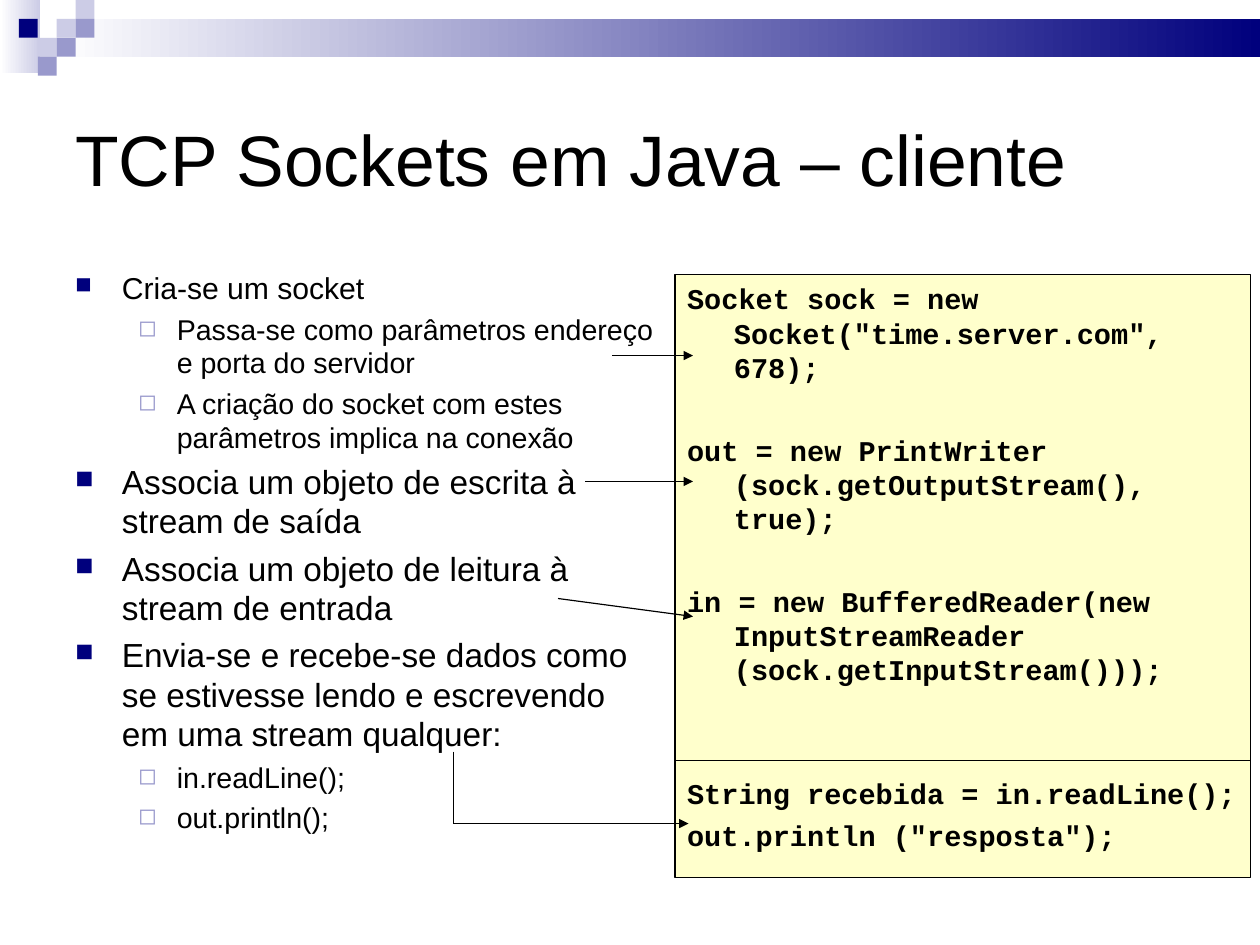
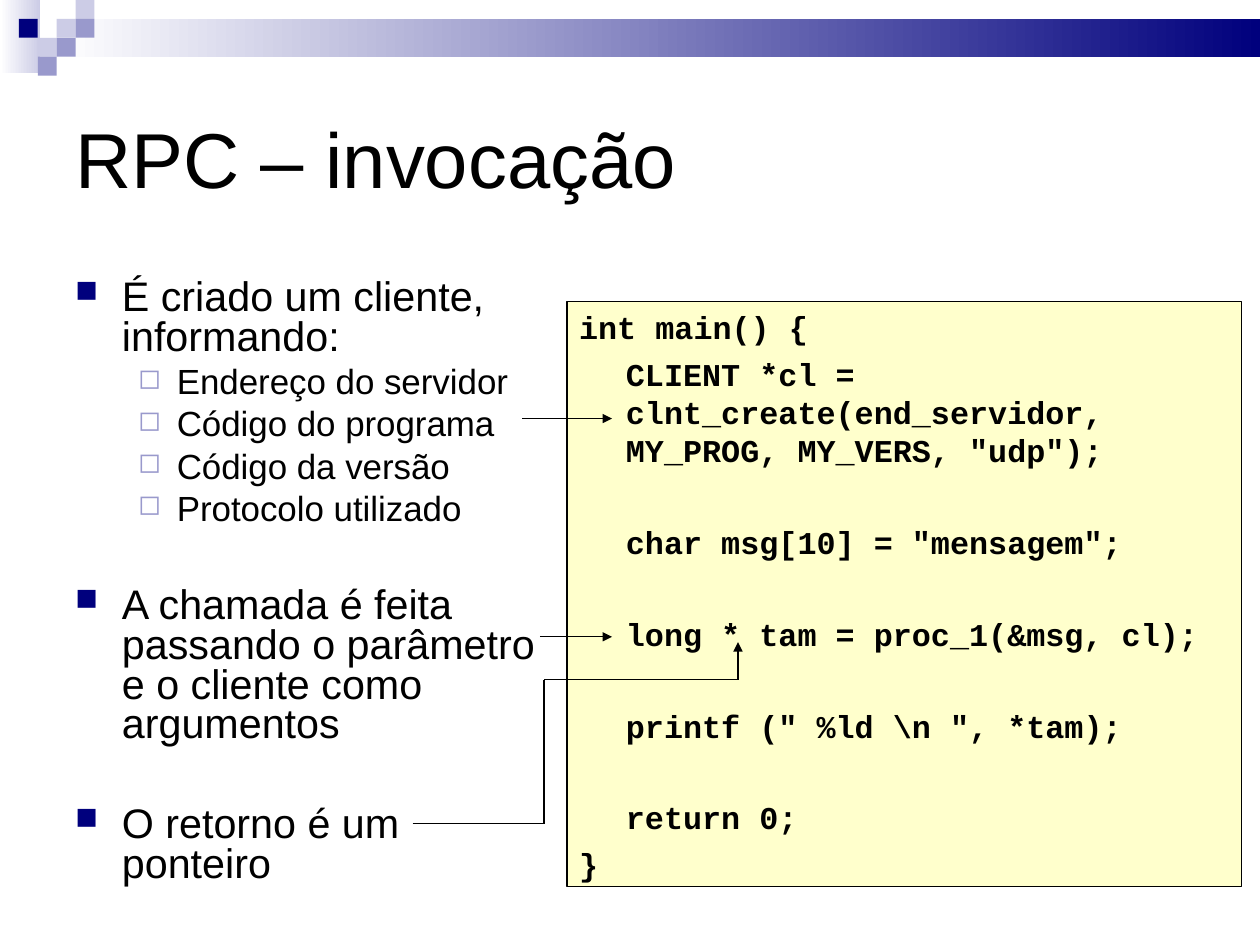
import itertools

import pptx
import pptx.dml.color
import pptx.enum.shapes
import pptx.enum.text
import pptx.oxml.ns
import pptx.util
from lxml import etree

Cm, Pt = pptx.util.Cm, pptx.util.Pt

COLORS = {
    "navy": "00007D",
    "mid": "9999CC",
    "light": "CCCCE6",
    "white": "FFFFFF",
    "cream": "FFFFCC",
    "black": "000000",
}
SANS, MONO = "Arial", "Courier New"
LINE_HEIGHT = 1.195  # line height as a share of the font size
CELL = 0.42
HANG = 1.04
# per level: left margin, hanging indent, bullet, colour, size in percent
BULLETS = [(HANG, HANG, "■", "navy", 75), (2.26, 0.86, "◻", "mid", 80)]


def rgb(name):
    return pptx.dml.color.RGBColor.from_string(COLORS[name])


def add_rect(slide, left, top, width, height, fill, fade=None):
    """Add a borderless rectangle; with fade, fill runs leftwards into fade."""
    sp = slide.shapes.add_shape(
        pptx.enum.shapes.MSO_SHAPE.RECTANGLE, Cm(left), Cm(top), Cm(width), Cm(height))
    sp.shadow.inherit = False
    sp.line.fill.background()
    if fade:
        sp.fill.gradient()
        sp.fill.gradient_angle = 180
        for stop, name, position in zip(sp.fill.gradient_stops, (fill, fade), (0, 1)):
            stop.color.rgb = rgb(name)
            stop.position = position
    else:
        sp.fill.solid()
        sp.fill.fore_color.rgb = rgb(fill)
    return sp


def set_up_layout(layout, slide):
    """Give the layout its title place and its band, drawn by way of slide."""
    title = layout.placeholders[0]
    title.left, title.top, title.width, title.height = Cm(1.4), Cm(1.4), Cm(25.2), Cm(4.2)
    band = [
        add_rect(slide, 0, 0, 0.9, 1.63, "light", "white"),
        add_rect(slide, 3 * CELL, CELL, 28 - 3 * CELL, 2 * CELL, "navy", "white"),
    ]
    cells = {"light": [(3, 1), (4, 0), (2, 2)],
             "mid": [(4, 1), (3, 2), (2, 3)],
             "navy": [(1, 1)]}
    for color, places in cells.items():
        for col, row in places:
            band.append(add_rect(slide, col * CELL, row * CELL, CELL, CELL, color))
    for i, sp in enumerate(band):
        sp.element.nvSpPr.cNvPr.set("id", str(100 + i))
        layout.element.cSld.spTree.insert(2 + i, sp.element)


def set_frame(tf, anchor):
    tf.word_wrap = True
    tf.auto_size = pptx.enum.text.MSO_AUTO_SIZE.NONE
    tf.vertical_anchor = anchor
    tf.margin_left = tf.margin_right = Cm(0.27)
    tf.margin_top = tf.margin_bottom = Cm(0.15)


def add_run(p, text, size, font=SANS, bold=False):
    r = p.add_run()
    r.text = text
    r.font.size, r.font.name, r.font.bold = Pt(size), font, bold
    r.font.color.rgb = rgb("black")


def set_title(slide, text, size):
    tf = slide.shapes.title.text_frame
    set_frame(tf, pptx.enum.text.MSO_ANCHOR.MIDDLE)
    p = tf.paragraphs[0]
    p.alignment = pptx.enum.text.PP_ALIGN.LEFT
    add_run(p, text, size)


def next_paragraph(tf, size, spacing, gap):
    """Return a new last paragraph, set off by gap lines from the one before."""
    p = tf.paragraphs[0]
    before = 0
    if p.runs:
        p = tf.add_paragraph()
        before = (gap + 1) * size / 4 + gap * size * LINE_HEIGHT * spacing
    p.alignment = pptx.enum.text.PP_ALIGN.LEFT
    p.line_spacing = spacing
    p.space_before = Pt(round(before, 1))
    return p


def set_indent(p, margin, first):
    pPr = p._p.get_or_add_pPr()
    pPr.set("marL", str(Cm(margin)))
    pPr.set("indent", str(Cm(first)))
    return pPr


def add_child(parent, tag, **attributes):
    return etree.SubElement(parent, pptx.oxml.ns.qn(tag), attributes)


def add_bullets(slide, box, spacing, items):
    """Add a bulleted list; items are (level, size, gap lines before, text)."""
    tf = slide.shapes.add_textbox(*map(Cm, box)).text_frame
    set_frame(tf, pptx.enum.text.MSO_ANCHOR.TOP)
    for level, size, gap, text in items:
        p = next_paragraph(tf, size, spacing, gap)
        p.level = level
        margin, hang, char, color, percent = BULLETS[level]
        pPr = set_indent(p, margin, -hang)
        add_child(add_child(pPr, "a:buClr"), "a:srgbClr", val=COLORS[color])
        add_child(pPr, "a:buSzPct", val=str(percent * 1000))
        add_child(pPr, "a:buChar", char=char)
        add_run(p, text, size)


def add_code(slide, box, size, lines):
    """Add a code panel; lines are (indented, gap lines before, text)."""
    sp = add_rect(slide, *box, "cream")
    sp.line.color.rgb = rgb("black")
    sp.line.width = Pt(0.75)
    tf = sp.text_frame
    set_frame(tf, pptx.enum.text.MSO_ANCHOR.TOP)
    for indented, gap, text in lines:
        p = next_paragraph(tf, size, 1.0, gap)
        set_indent(p, HANG, 0 if indented else -HANG)
        add_run(p, text, size, MONO, True)


def add_path(slide, *points, arrow=True):
    """Join the points by straight lines, the last one with an arrowhead."""
    for start, end in itertools.pairwise(points):
        line = slide.shapes.add_connector(
            pptx.enum.shapes.MSO_CONNECTOR.STRAIGHT, *map(Cm, start + end))
        line.line.color.rgb = rgb("black")
        line.line.width = Pt(0.75)
        if arrow and end == points[-1]:
            add_child(line.line._get_or_add_ln(), "a:tailEnd", type="triangle")
        add_child(line.element.spPr, "a:effectLst")


def build_client(slide):
    set_title(slide, "TCP Sockets em Java – cliente", 45)
    add_bullets(slide, (1.4, 5.87, 13.39, 14.05), 0.98, [
        (0, 19, 0, "Cria-se um socket"),
        (1, 18, 0, "Passa-se como parâmetros endereço e porta do servidor"),
        (1, 18, 0, "A criação do socket com estes parâmetros implica na conexão"),
        (0, 21, 0, "Associa um objeto de escrita à stream de saída"),
        (0, 21, 0, "Associa um objeto de leitura à stream de entrada"),
        (0, 21, 0, "Envia-se e recebe-se dados como se estivesse lendo e "
                   "escrevendo em uma stream qualquer:"),
        (1, 18, 0, "in.readLine();"),
        (1, 18, 0, "out.println();"),
    ])
    add_code(slide, (15, 6.1, 12.8, 13.4), 18, [
        (False, 0, 'Socket sock = new Socket("time.server.com", 678);'),
        (False, 1, "out = new PrintWriter (sock.getOutputStream(), true);"),
        (False, 1, "in = new BufferedReader(new InputStreamReader "
                   "(sock.getInputStream()));"),
        (False, 2, "String recebida = in.readLine();"),
        (False, 0, 'out.println ("resposta");'),
    ])
    add_path(slide, (15, 16.9), (27.8, 16.9), arrow=False)
    add_path(slide, (13.6, 7.9), (15.4, 7.9))
    add_path(slide, (10.08, 16.7), (10.08, 18.3), (15.3, 18.3))
    add_path(slide, (13, 10.7), (15.4, 10.7))
    add_path(slide, (12.4, 13.3), (15.4, 13.7))


def build_rpc(slide):
    set_title(slide, "RPC – invocação", 49)
    add_bullets(slide, (1.4, 6.07, 11.2, 14.22), 0.8, [
        (0, 26, 0, "É criado um cliente, informando:"),
        (1, 22, 0, "Endereço do servidor"),
        (1, 22, 0, "Código do programa"),
        (1, 22, 0, "Código da versão"),
        (1, 22, 0, "Protocolo utilizado"),
        (0, 26, 1, "A chamada é feita passando o parâmetro e o cliente "
                   "como argumentos"),
        (0, 26, 1, "O retorno é um ponteiro"),
    ])
    add_code(slide, (12.6, 6.7, 15, 13), 20, [
        (False, 0, "int main() {"),
        (True, 0, 'CLIENT *cl = clnt_create(end_servidor, MY_PROG, MY_VERS, "udp");'),
        (True, 1, 'char msg[10] = "mensagem";'),
        (True, 1, "long * tam = proc_1(&msg, cl);"),
        (True, 1, 'printf (" %ld \\n ", *tam);'),
        (True, 1, "return 0;"),
        (False, 0, "}"),
    ])
    add_path(slide, (11.6, 9.3), (13.6, 9.3))
    add_path(slide, (12, 14.15), (13.6, 14.15))
    add_path(slide, (9.17, 18.3), (12.09, 18.3), (12.09, 15.1), (16.4, 15.1), (16.4, 14.27))


def main():
    prs = pptx.Presentation()
    prs.slide_width, prs.slide_height = Cm(28), Cm(21)
    layout = prs.slide_layouts[5]
    client, rpc = (prs.slides.add_slide(layout) for _ in range(2))
    set_up_layout(layout, client)
    build_client(client)
    build_rpc(rpc)
    prs.save("out.pptx")


if __name__ == "__main__":
    main()
